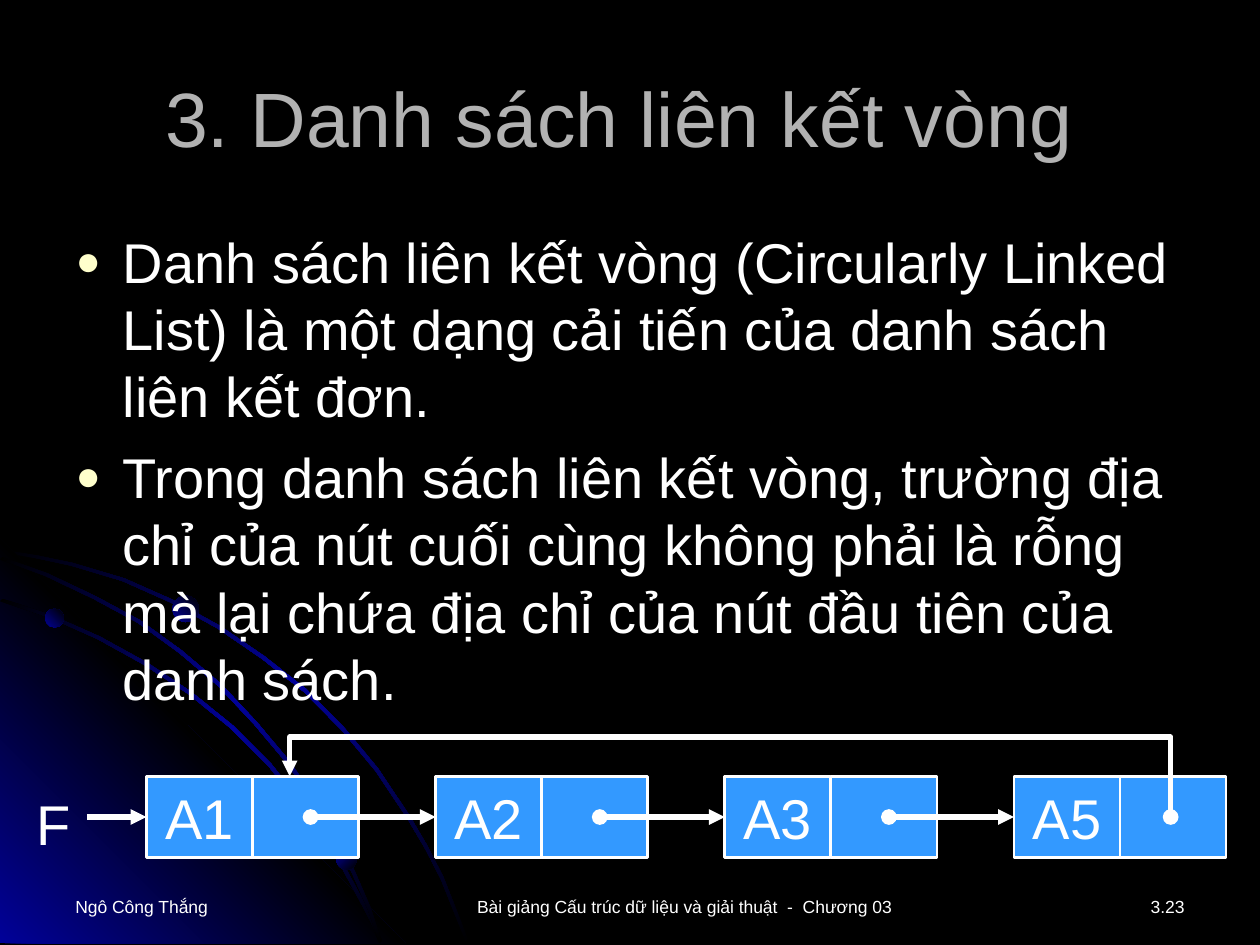
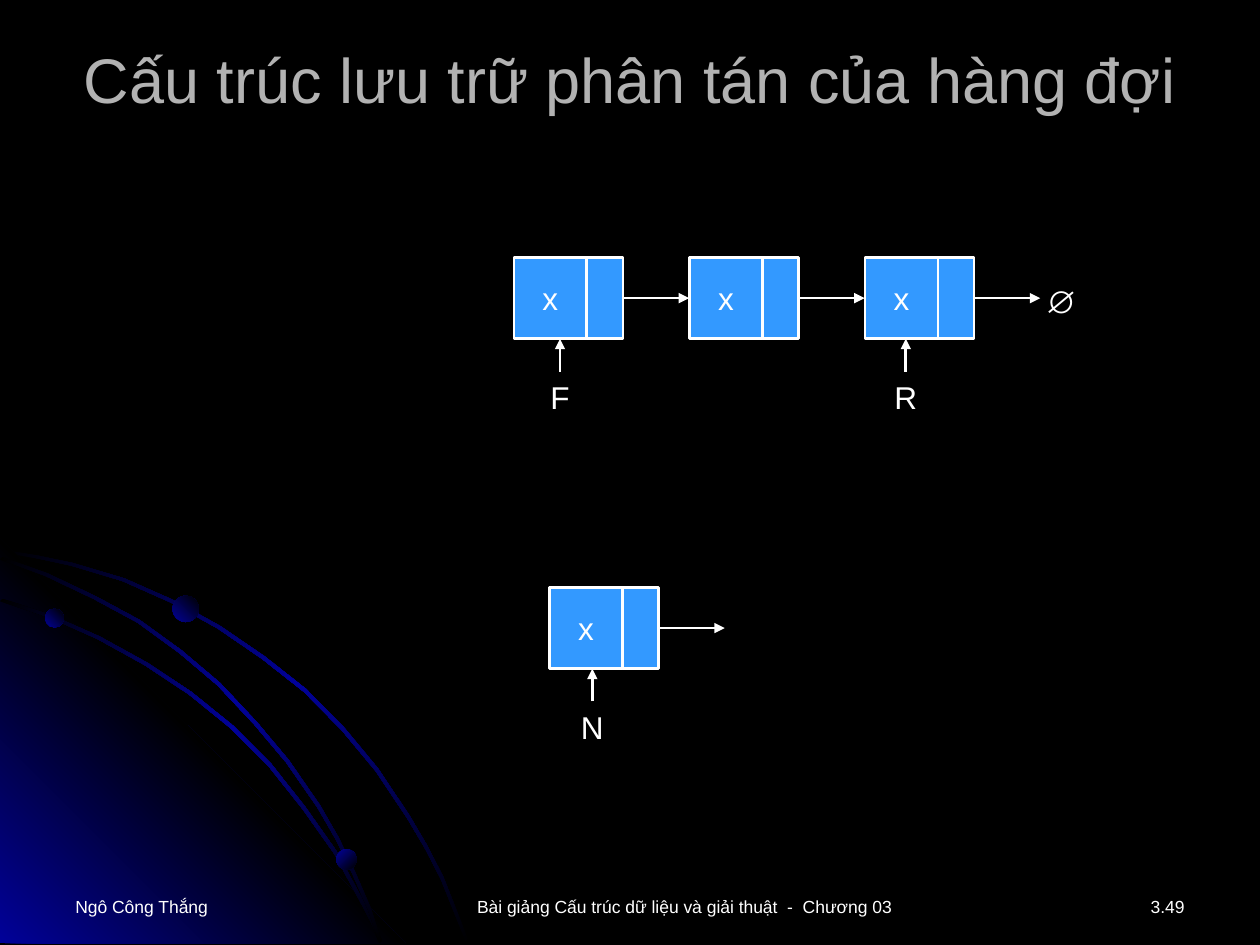
"""Build two lecture slides on circular linked lists and linked queues."""
import pptx
import pptx.dml.color
import pptx.enum.shapes
import pptx.enum.text
import pptx.oxml.ns
import pptx.util
from lxml import etree
from pptx.util import Cm

qn = pptx.oxml.ns.qn
ALIGN = pptx.enum.text.PP_ALIGN
SHAPE = pptx.enum.shapes.MSO_SHAPE

FONT = "Arial"
WHITE = "FFFFFF"
BLACK = "000000"
TITLE_GRAY = "B2B2B2"
NODE_BLUE = "3399FF"
GLOW_BLUE = "010199"
BULLET_YELLOW = "FFFFCC"

NODE_HEIGHT = 1.64
FOOTER_TOP = 17.93
AUTHOR = "Ngô Công Thắng"
LECTURE = "Bài giảng Cấu trúc dữ liệu và giải thuật  -  Chương 03"

ORBIT_OUTER = [
    (0, 11.13), (0.71, 11.25), (1.42, 11.4), (2.46, 11.71), (3.43, 12.14),
    (4.39, 12.67), (5.28, 13.28), (6.12, 13.94), (6.88, 14.71), (7.57, 15.54),
    (8.2, 16.48), (8.56, 17.09), (8.89, 17.73), (9.14, 18.36), (9.4, 19.02),
]
ORBIT_INNER = [
    (0, 12.12), (0.99, 12.45), (1.96, 12.88), (2.92, 13.41), (3.81, 14),
    (4.65, 14.68), (5.41, 15.44), (6.1, 16.31), (6.73, 17.2), (7.24, 18.14),
    (7.47, 18.59), (7.65, 19.02),
]
ORBIT_MIDDLE = [
    (0, 11.28), (0.91, 11.61), (1.88, 12.07), (2.77, 12.55), (3.61, 13.16),
    (4.39, 13.82), (5.13, 14.61), (5.77, 15.37), (6.4, 16.28), (6.78, 16.94),
    (7.11, 17.63), (7.42, 18.34), (7.65, 19.02),
]
CORNER = [(0, 10.85), (8.18, 19.02), (0, 19.02)]
PLANETS = [(0.91, 12.27, 0.38, 45), (6.78, 17.12, 0.41, 315), (3.48, 12.01, 0.53, 45)]


def rgb(value):
    return pptx.dml.color.RGBColor.from_string(value)


def place(shape, left, top, width, height):
    shape.left, shape.top = Cm(left), Cm(top)
    shape.width, shape.height = Cm(width), Cm(height)


def add_bullet(paragraph):
    properties = paragraph._p.get_or_add_pPr()
    properties.set("marL", str(Cm(0.95)))
    properties.set("indent", str(-Cm(0.95)))
    bullet_color = etree.SubElement(properties, qn("a:buClr"))
    etree.SubElement(bullet_color, qn("a:srgbClr"), val=BULLET_YELLOW)
    etree.SubElement(properties, qn("a:buSzPct"), val="75000")
    etree.SubElement(properties, qn("a:buChar"), char="●")


def write_text(shape, *texts, size=18, color=WHITE, align=ALIGN.CENTER,
               middle=True, wrap=True, bullets=False, space_before=0):
    frame = shape.text_frame
    frame.word_wrap = wrap
    frame.auto_size = pptx.enum.text.MSO_AUTO_SIZE.NONE
    anchors = pptx.enum.text.MSO_ANCHOR
    frame.vertical_anchor = anchors.MIDDLE if middle else anchors.TOP
    for index, text in enumerate(texts):
        paragraph = frame.add_paragraph() if index else frame.paragraphs[0]
        paragraph.alignment = align
        paragraph.space_before = pptx.util.Pt(space_before if index else 0)
        if bullets:
            add_bullet(paragraph)
        run = paragraph.add_run()
        run.text = text
        run.font.name = FONT
        run.font.size = pptx.util.Pt(size)
        run.font.color.rgb = rgb(color)


def add_textbox(slide, text, left, top, width, height, **text_format):
    box = slide.shapes.add_textbox(Cm(left), Cm(top), Cm(width), Cm(height))
    write_text(box, text, **text_format)


def add_label(slide, text, center_x, center_y, size=18):
    add_textbox(slide, text, center_x - 0.7, center_y - 0.8, 1.4, 1.6,
                size=size, wrap=False)


def add_outline(slide, points, close):
    start, *others = [(Cm(x), Cm(y)) for x, y in points]
    builder = slide.shapes.build_freeform(*start, scale=1.0)
    builder.add_line_segments(others, close=close)
    shape = builder.convert_to_shape()
    shape.shadow.inherit = False
    return shape


def fill_gradient(shape, colors, angle):
    shape.line.fill.background()
    shape.fill.gradient()
    stops = shape.element.find(".//" + qn("a:gsLst"))
    for stop in list(stops):
        stops.remove(stop)
    for index, color in enumerate(colors):
        position = 100000 * index // (len(colors) - 1)
        stop = etree.SubElement(stops, qn("a:gs"), pos=str(position))
        etree.SubElement(stop, qn("a:srgbClr"), val=color)
    shape.fill.gradient_angle = angle


def add_orbit(slide, curve):
    upper_edge = [(x + 0.05, y - 0.05) for x, y in reversed(curve)]
    orbit = add_outline(slide, curve + upper_edge, close=True)
    fill_gradient(orbit, [BLACK, GLOW_BLUE, BLACK], 315)
    return orbit


def add_planet(slide, left, top, diameter, angle):
    planet = slide.shapes.add_shape(
        SHAPE.OVAL, Cm(left), Cm(top), Cm(diameter), Cm(diameter))
    planet.shadow.inherit = False
    fill_gradient(planet, [GLOW_BLUE, BLACK], angle)
    return planet


def decorate_master(presentation, slide):
    master = presentation.slide_master
    master.background.fill.solid()
    master.background.fill.fore_color.rgb = rgb(BLACK)
    outer = add_orbit(slide, ORBIT_OUTER)
    corner = add_outline(slide, CORNER, close=True)
    fill_gradient(corner, [GLOW_BLUE, BLACK, GLOW_BLUE], 45)
    orbits = [add_orbit(slide, curve) for curve in (ORBIT_INNER, ORBIT_MIDDLE)]
    planets = [add_planet(slide, *planet) for planet in PLANETS]
    for number, shape in enumerate([outer, corner, *orbits, *planets], start=20):
        shape.element.find(".//" + qn("p:cNvPr")).set("id", str(number))
        master.shapes.element.append(shape.element)


def style_line(shape, width, oval_start):
    shape.line.color.rgb = rgb(WHITE)
    shape.line.width = pptx.util.Pt(width)
    line = shape.element.find(".//" + qn("a:ln"))
    if oval_start:
        etree.SubElement(line, qn("a:headEnd"), type="oval")
    etree.SubElement(line, qn("a:tailEnd"), type="triangle")


def add_arrow(slide, x1, y1, x2, y2, width=1.5, oval_start=False):
    arrow = slide.shapes.add_connector(
        pptx.enum.shapes.MSO_CONNECTOR.STRAIGHT, Cm(x1), Cm(y1), Cm(x2), Cm(y2))
    style_line(arrow, width, oval_start)
    etree.SubElement(arrow.element.spPr, qn("a:effectLst"))


def add_node(slide, text, left, top, data_width, link_width, size=18):
    cells = [(text, left, data_width), ("", left + data_width, link_width)]
    for content, cell_left, width in cells:
        cell = slide.shapes.add_shape(
            SHAPE.RECTANGLE, Cm(cell_left), Cm(top), Cm(width), Cm(NODE_HEIGHT))
        cell.shadow.inherit = False
        cell.fill.solid()
        cell.fill.fore_color.rgb = rgb(NODE_BLUE)
        cell.line.color.rgb = rgb(WHITE)
        cell.line.width = pptx.util.Pt(1.5)
        if content:
            write_text(cell, content, size=size)


def add_queue_node(slide, left, top):
    middle = top + NODE_HEIGHT / 2
    add_node(slide, "x", left, top, 1.47, 0.73)
    add_arrow(slide, left + 2.2, middle, left + 3.53, middle)


def add_pointer(slide, name, x, node_top):
    node_bottom = node_top + NODE_HEIGHT
    add_arrow(slide, x, node_bottom + 0.66, x, node_bottom)
    add_label(slide, name, x, node_bottom + 1.18)


def add_frame(slide, title, title_size, title_height, number):
    place(slide.shapes.title, 1.27, 0.76, 22.86, title_height)
    write_text(slide.shapes.title, title, size=title_size, color=TITLE_GRAY)
    footers = [
        (AUTHOR, 1.27, 5.92, ALIGN.LEFT),
        (LECTURE, 7.52, 12.55, ALIGN.CENTER),
        (number, 20.42, 3.71, ALIGN.RIGHT),
    ]
    for text, left, width, align in footers:
        add_textbox(slide, text, left, FOOTER_TOP, width, 0.76,
                    size=10, align=align, middle=False)


def build_circular_list(slide):
    add_frame(slide, "3. Danh sách liên kết vòng ", 44, 3.18, "3.23")
    body = slide.placeholders[1]
    place(body, 1.27, 4.45, 22.86, 12.98)
    write_text(
        body,
        "Danh sách liên kết vòng (Circularly Linked List) là một dạng cải tiến "
        "của danh sách liên kết đơn.",
        "Trong danh sách liên kết vòng, trường địa chỉ của nút cuối cùng không "
        "phải là rỗng mà lại chứa địa chỉ của nút đầu tiên của danh sách.",
        size=32, align=ALIGN.LEFT, middle=False, bullets=True, space_before=8)

    top, first_left, pitch = 15.65, 2.95, 5.83
    middle = top + NODE_HEIGHT / 2
    names = ["A1", "A2", "A3", "A5"]
    lefts = [first_left + pitch * index for index in range(len(names))]
    for name, left in zip(names, lefts):
        add_node(slide, name, left, top, 2.14, 2.14, size=32)
    for left, next_left in zip(lefts, lefts[1:]):
        add_arrow(slide, left + 3.31, middle, next_left, middle,
                  width=3, oval_start=True)
    add_label(slide, "F", 1.08, 16.59, size=32)
    add_arrow(slide, 1.75, middle, first_left, middle, width=3)
    return_link = add_outline(
        slide, [(23.6, middle), (23.6, 14.86), (5.84, 14.86), (5.84, top)],
        close=False)
    return_link.fill.background()
    style_line(return_link, 3, oval_start=True)


def build_linked_queue(slide):
    add_frame(slide, "Cấu trúc lưu trữ phân tán của hàng đợi", 36, 1.65, "3.49")
    queue_top, new_top = 5.19, 11.84
    for index in range(3):
        add_queue_node(slide, 10.36 + 3.54 * index, queue_top)
    add_label(slide, "∅", 21.39, 6.07)
    add_pointer(slide, "F", 11.29, queue_top)
    add_pointer(slide, "R", 18.26, queue_top)
    add_queue_node(slide, 11.08, new_top)
    add_pointer(slide, "N", 11.94, new_top)


def main():
    presentation = pptx.Presentation()
    presentation.slide_width, presentation.slide_height = Cm(25.4), Cm(19.05)
    layouts = presentation.slide_layouts
    list_slide = presentation.slides.add_slide(layouts[1])
    queue_slide = presentation.slides.add_slide(layouts[5])
    decorate_master(presentation, list_slide)
    build_circular_list(list_slide)
    build_linked_queue(queue_slide)
    presentation.save("out.pptx")


if __name__ == "__main__":
    main()
